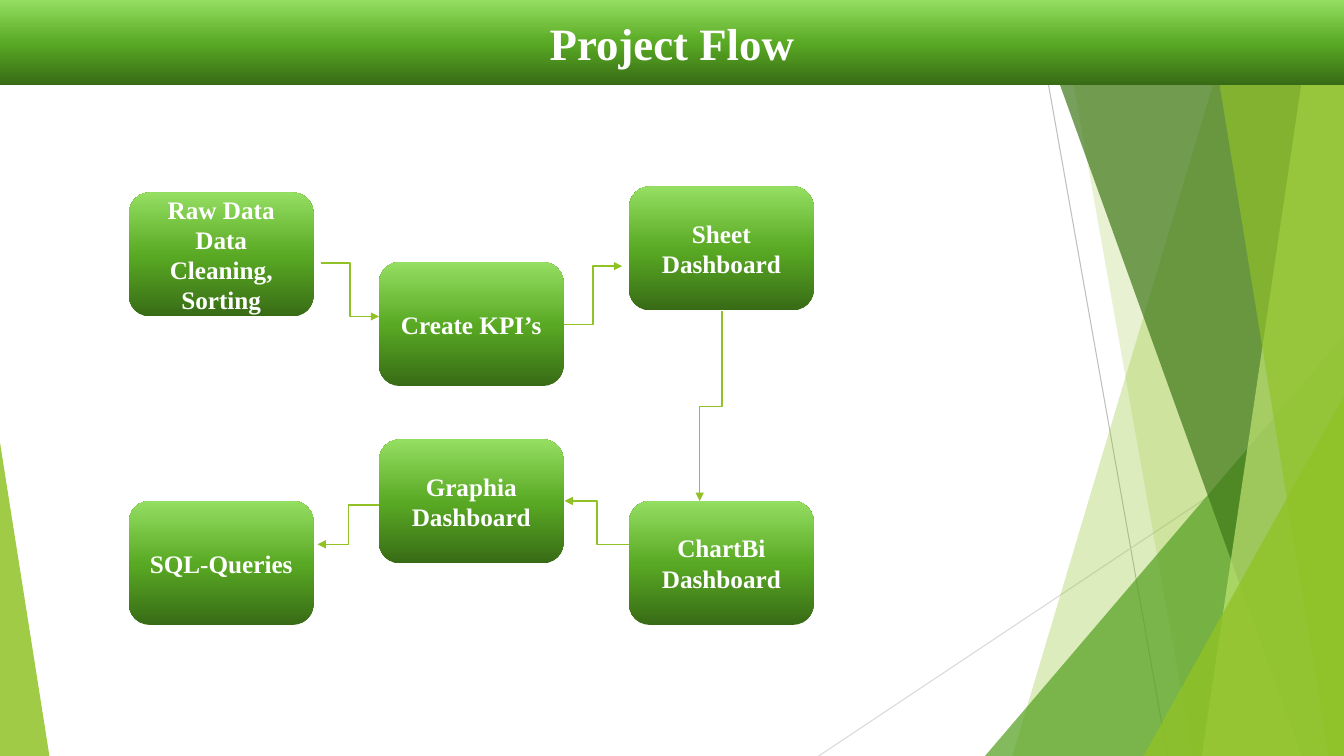
from dataclasses import dataclass

from lxml import etree
from pptx import Presentation
from pptx.dml.color import RGBColor
from pptx.enum.shapes import MSO_CONNECTOR, MSO_SHAPE
from pptx.enum.text import MSO_ANCHOR, PP_ALIGN
from pptx.oxml.ns import qn
from pptx.util import Inches, Pt

RECT, ROUND = MSO_SHAPE.RECTANGLE, MSO_SHAPE.ROUNDED_RECTANGLE
TRIANGLE = MSO_SHAPE.ISOSCELES_TRIANGLE
STRAIGHT, ELBOW = MSO_CONNECTOR.STRAIGHT, MSO_CONNECTOR.ELBOW
CENTER, MIDDLE = PP_ALIGN.CENTER, MSO_ANCHOR.MIDDLE

WIDE, HIGH = 13.33, 7.5
BOX_W, BOX_H = 1.83, 1.23
COLS = [1.28 + 2.48 * i for i in range(3)]
LIME = "90C226"
STOPS = [(0, "386B16"), (48, "58A823"), (100, "94DE61")]


@dataclass
class Band:
    """Slanted facet that runs to the right edge of the slide."""
    top: float
    foot: float
    color: str
    alpha: int


@dataclass
class Wedge:
    left: float
    top: float
    width: float
    tip: float
    color: str
    alpha: int


@dataclass
class Step:
    col: int
    top: float
    lines: list[str]


@dataclass
class Link:
    start: tuple[float, float]
    end: tuple[float, float]
    down: bool = False


BANDS = [
    Band(12.28, 10.04, LIME, 30),
    Band(10.5, 11.83, LIME, 20),
    Band(10.21, 12.91, "3F7819", 70),
    Band(13.03, 11.92, "C0E474", 70),
    Band(11.96, 13.18, LIME, 65),
]
BACK = Wedge(9.77, 3.33, 3.56, 1, "54A021", 72)
FRONT = [
    Wedge(11.34, 3.93, 1.99, 1, LIME, 80),
    Wedge(0, 4.39, 0.49, 0, LIME, 85),
]
STEPS = [
    Step(0, 1.91, ["Raw Data", "Data Cleaning, Sorting"]),
    Step(1, 2.6, ["Create KPI’s"]),
    Step(2, 4.97, ["ChartBi Dashboard"]),
    Step(2, 1.85, ["Sheet Dashboard"]),
    Step(1, 4.36, ["Graphia Dashboard"]),
    Step(0, 4.97, ["SQL-Queries"]),
]
LINKS = [
    Link((3.18, 2.61), (3.76, 3.14)),
    Link((5.59, 3.22), (6.17, 2.64)),
    Link((7.16, 3.09), (6.94, 4.97), down=True),
    Link((6.24, 5.4), (5.6, 4.97)),
    Link((3.76, 5.01), (3.15, 5.4)),
]


def rgb(color: str) -> RGBColor:
    return RGBColor.from_string(color)


def tint(shape, color: str, alpha: int) -> None:
    """Give a shape a see-through fill and no line."""
    shape.shadow.inherit = False
    shape.line.fill.background()
    shape.fill.solid()
    shape.fill.fore_color.rgb = rgb(color)
    tone = shape._element.spPr.find(f"{qn('a:solidFill')}/{qn('a:srgbClr')}")
    etree.SubElement(tone, qn("a:alpha"), val=str(alpha * 1000))


def draw_band(slide, band: Band) -> None:
    pen = slide.shapes.build_freeform(Inches(band.top), 0)
    pen.add_line_segments([(Inches(x), Inches(y)) for x, y in
                           [(WIDE, 0), (WIDE, HIGH), (band.foot, HIGH)]])
    tint(pen.convert_to_shape(), band.color, band.alpha)


def draw_wedge(slide, wedge: Wedge) -> None:
    shape = slide.shapes.add_shape(
        TRIANGLE, Inches(wedge.left), Inches(wedge.top),
        Inches(wedge.width), Inches(HIGH - wedge.top))
    shape.adjustments[0] = wedge.tip
    tint(shape, wedge.color, wedge.alpha)


def draw_line(slide, kind, start, end, color: str, width: float):
    line = slide.shapes.add_connector(
        kind, *[Inches(n) for n in (*start, *end)])
    line.line.color.rgb = rgb(color)
    line.line.width = Pt(width)
    etree.SubElement(line._element.spPr, qn("a:effectLst"))
    return line


def draw_link(slide, link: Link) -> None:
    (x1, y1), (x2, y2) = link.start, link.end
    start, end = link.start, link.end
    if link.down:
        # A downward elbow is a level one turned a quarter about its centre
        mx, my = (x1 + x2) / 2, (y1 + y2) / 2
        dx, dy = (y2 - y1) / 2, (x1 - x2) / 2
        start, end = (mx - dx, my - dy), (mx + dx, my + dy)
    line = draw_line(slide, ELBOW, start, end, LIME, 1)
    if link.down:
        line._element.spPr.find(qn("a:xfrm")).set("rot", "5400000")
    etree.SubElement(line.line._get_or_add_ln(), qn("a:tailEnd"),
                     type="triangle")


def draw_box(slide, kind, left: float, top: float, width: float,
             height: float, lines: list[str], size: int) -> None:
    box = slide.shapes.add_shape(
        kind, Inches(left), Inches(top), Inches(width), Inches(height))
    box.shadow.inherit = False
    box.line.fill.background()
    box.fill.gradient()
    box.fill.gradient_angle = 90
    ramp = box._element.spPr.find(f"{qn('a:gradFill')}/{qn('a:gsLst')}")
    for old in list(ramp):
        ramp.remove(old)
    for place, color in STOPS:
        stop = etree.SubElement(ramp, qn("a:gs"), pos=str(place * 1000))
        etree.SubElement(stop, qn("a:srgbClr"), val=color)
    frame = box.text_frame
    frame.word_wrap = True
    frame.vertical_anchor = MIDDLE
    frame.text = "\n".join(lines)
    for para in frame.paragraphs:
        para.alignment = CENTER
        para.font.name = "Times New Roman"
        para.font.size = Pt(size)
        para.font.bold = True
        para.font.color.rgb = rgb("FFFFFF")


def main() -> None:
    deck = Presentation()
    deck.slide_width, deck.slide_height = Inches(WIDE), Inches(HIGH)
    slide = deck.slides.add_slide(deck.slide_layouts[6])

    # Backdrop facets
    draw_line(slide, STRAIGHT, (10.25, 0), (11.58, HIGH), "BFBFBF", 0.75)
    draw_line(slide, STRAIGHT, (WIDE, 4.03), (8.12, HIGH), "D9D9D9", 0.75)
    for band in BANDS[:2]:
        draw_band(slide, band)
    draw_wedge(slide, BACK)
    for band in BANDS[2:]:
        draw_band(slide, band)
    for wedge in FRONT:
        draw_wedge(slide, wedge)

    # Title bar
    draw_box(slide, RECT, 0, 0, WIDE, 0.84, ["Project Flow"], 32)

    # Flow steps and arrows
    for step in STEPS:
        draw_box(slide, ROUND, COLS[step.col], step.top, BOX_W, BOX_H,
                 step.lines, 18)
    for link in LINKS:
        draw_link(slide, link)

    deck.save("out.pptx")


if __name__ == "__main__":
    main()
